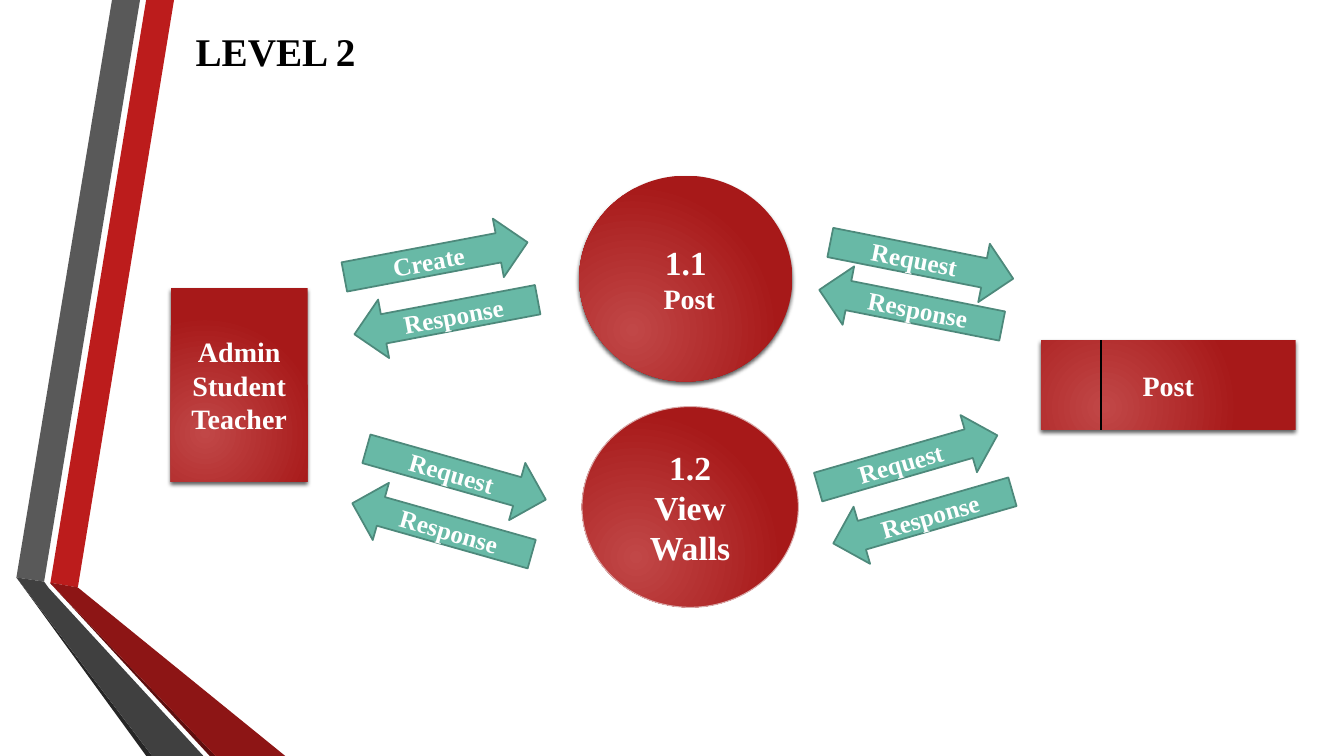
from dataclasses import dataclass

from lxml import etree
from pptx import Presentation
from pptx.dml.color import RGBColor
from pptx.enum.shapes import MSO_CONNECTOR, MSO_SHAPE
from pptx.enum.text import MSO_ANCHOR, PP_ALIGN
from pptx.oxml.ns import qn
from pptx.util import Pt

OVAL, BOX = MSO_SHAPE.OVAL, MSO_SHAPE.RECTANGLE
FORWARD, BACK = MSO_SHAPE.RIGHT_ARROW, MSO_SHAPE.LEFT_ARROW
STRAIGHT = MSO_CONNECTOR.STRAIGHT
MIDDLE, TOP = MSO_ANCHOR.MIDDLE, MSO_ANCHOR.TOP
CENTER, LEFT = PP_ALIGN.CENTER, PP_ALIGN.LEFT


@dataclass(frozen=True)
class Theme:
    font: str = "Times New Roman"
    ink: str = "000000"
    light: str = "FFFFFF"
    glow: str = "C14747"
    red: str = "A71919"
    rim: str = "DAACAC"
    arrow: str = "68B9A6"
    arrow_edge: str = "4D897B"
    title_size: int = 28
    number_size: int = 24
    node_size: int = 20
    flow_size: int = 18


THEME = Theme()

TITLE = ("LEVEL 2", (132.5, 20, 641.5, 66))

RIBBONS = [
    ("BC1C1C", [(36, 416.2), (55.6, 419.6), (124.3, 0), (104.4, 0)]),
    ("595959", [(100, 0), (80, 0), (11.7, 412.5), (31.5, 415.5)]),
    ("262626", [(11.7, 412.5), (104.5, 540), (108.7, 540)]),
    ("5E0E0E", [(36, 416.7), (149.8, 540), (154, 540)]),
    ("8D1515", [(36, 416.7), (154, 540), (203.8, 540), (55.6, 419.6), (36, 416.2)]),
    ("404040", [(145.3, 540), (34.6, 419.8), (31.5, 415.5), (11.7, 412.5), (108.7, 540)]),
]

NUMBER, NODE = THEME.number_size, THEME.node_size
NODES = [
    (OVAL, (413.7, 125.5, 152.3, 147), [("1.1", NUMBER), (" Post", NODE)], None),
    (BOX, (122.1, 206, 97.6, 138.2),
     [("Admin", NODE), ("Student", NODE), ("Teacher", NODE)], None),
    (BOX, (743.6, 243, 181.8, 64), [("Post", NODE)], None),
    (OVAL, (415.7, 290.4, 154.6, 143.4),
     [("1.2", NUMBER), ("View Walls", NUMBER)], THEME.rim),
]
STORE_DIVIDER = (786.4, 243, 307)

ARROW_SIZE = (133.2, 42.5)
FLOWS = [
    (-10.7, ("Create", 244.8, 164.2), ("Response", 252, 205.2)),
    (11.2, ("Request", 591.8, 164.9), ("Response", 583.9, 198.7)),
    (15.8, (" Request", 259.2, 317.5), ("Response", 249.1, 356.4)),
    (-16.1, ("Request", 581.8, 308.2), ("Response", 592.6, 348.5)),
]


def rgb(code):
    return RGBColor.from_string(code)


def write(shape, lines, color, align=CENTER, anchor=MIDDLE):
    frame = shape.text_frame
    frame.word_wrap = True
    frame.vertical_anchor = anchor
    frame.text = "\n".join(words for words, _ in lines)
    for paragraph, (_, size) in zip(frame.paragraphs, lines):
        paragraph.alignment = align
        for run in paragraph.runs:
            font = run.font
            font.name, font.size, font.bold = THEME.font, Pt(size), True
            font.color.rgb = rgb(color)


def outline(shape, color, width):
    if color:
        shape.line.color.rgb = rgb(color)
        shape.line.width = Pt(width)
    else:
        shape.line.fill.background()


def add_glow(shape):
    shape.fill.gradient()
    for stop, color in zip(shape.fill.gradient_stops, (THEME.glow, THEME.red)):
        stop.color.rgb = rgb(color)
    gradient = shape.element.spPr.find(qn("a:gradFill"))
    gradient.remove(gradient.find(qn("a:lin")))
    circle = etree.SubElement(gradient, qn("a:path"), path="circle")
    etree.SubElement(circle, qn("a:fillToRect"),
                     l="50000", t="100000", r="100000", b="50000")


def add_shadow(shape):
    effects = shape.element.spPr.find(qn("a:effectLst"))
    shadow = etree.SubElement(effects, qn("a:outerShdw"), blurRad=str(Pt(3)),
                              dist=str(Pt(2)), dir="5400000", rotWithShape="0")
    tint = etree.SubElement(shadow, qn("a:srgbClr"), val=THEME.ink)
    etree.SubElement(tint, qn("a:alpha"), val="64000")


def add_ribbon(slide, color, corners):
    start, *others = [(Pt(x), Pt(y)) for x, y in corners]
    builder = slide.shapes.build_freeform(*start)
    builder.add_line_segments(others, close=True)
    ribbon = builder.convert_to_shape()
    ribbon.shadow.inherit = False
    ribbon.fill.solid()
    ribbon.fill.fore_color.rgb = rgb(color)
    outline(ribbon, None, 0)


def add_node(slide, kind, bounds, lines, rim):
    node = slide.shapes.add_shape(kind, *map(Pt, bounds))
    node.shadow.inherit = False
    add_glow(node)
    outline(node, rim, 0.75)
    if not rim:
        add_shadow(node)
    write(node, lines, THEME.light)


def add_arrow(slide, kind, angle, label, left, top):
    arrow = slide.shapes.add_shape(kind, *map(Pt, (left, top, *ARROW_SIZE)))
    arrow.shadow.inherit = False
    arrow.rotation = angle
    arrow.fill.solid()
    arrow.fill.fore_color.rgb = rgb(THEME.arrow)
    outline(arrow, THEME.arrow_edge, 1.25)
    write(arrow, [(label, THEME.flow_size)], THEME.light)


def add_divider(slide, x, top, bottom):
    divider = slide.shapes.add_connector(STRAIGHT, Pt(x), Pt(top), Pt(x), Pt(bottom))
    outline(divider, THEME.ink, 1.75)
    etree.SubElement(divider.element.spPr, qn("a:effectLst"))


def main():
    deck = Presentation()
    deck.slide_width, deck.slide_height = Pt(960), Pt(540)
    slide = deck.slides.add_slide(deck.slide_layouts[5])

    heading, bounds = TITLE
    title = slide.shapes.title
    title.left, title.top, title.width, title.height = map(Pt, bounds)
    write(title, [(heading, THEME.title_size)], THEME.ink, LEFT, TOP)
    title.text_frame.paragraphs[0].line_spacing = 0.9

    for color, corners in RIBBONS:
        add_ribbon(slide, color, corners)
    for node in NODES:
        add_node(slide, *node)
    for angle, *pair in FLOWS:
        for kind, flow in zip((FORWARD, BACK), pair):
            add_arrow(slide, kind, angle, *flow)
    add_divider(slide, *STORE_DIVIDER)

    deck.save("out.pptx")


if __name__ == "__main__":
    main()
